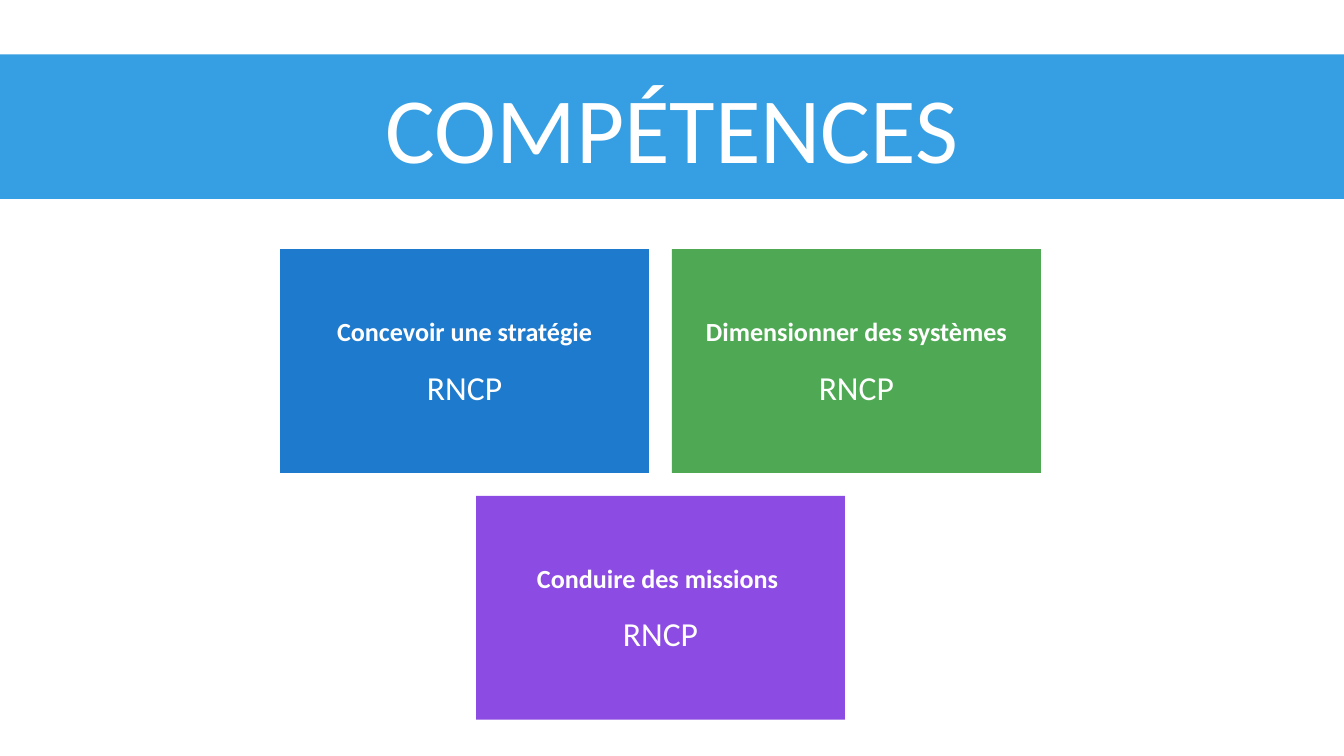
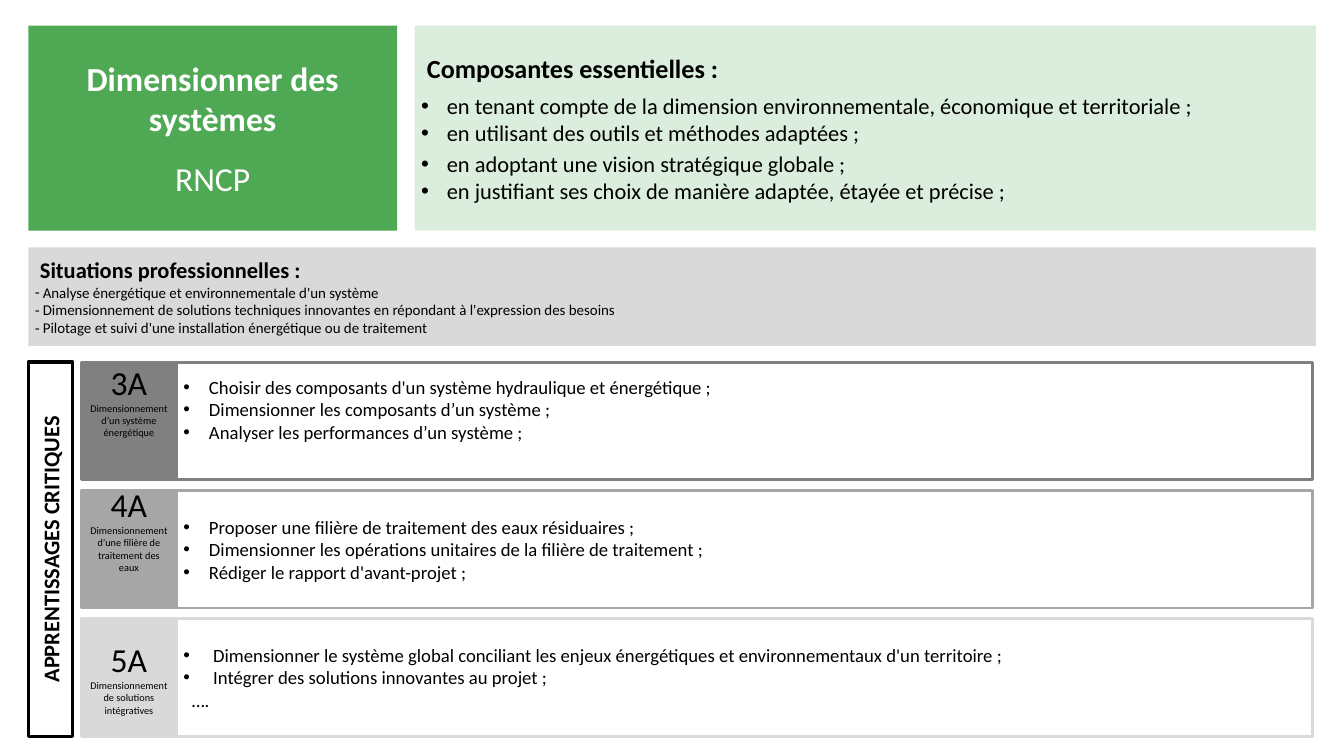
from dataclasses import dataclass

from lxml.etree import SubElement as Sub
from pptx import Presentation
from pptx.dml.color import RGBColor as Rgb
from pptx.enum.shapes import MSO_SHAPE as Kind
from pptx.enum.text import MSO_ANCHOR as Anchor, PP_ALIGN as Align
from pptx.oxml.ns import qn
from pptx.util import Cm, Pt

FONT = "Calibri"
HUES = {
    "band": "369FE3", "blue": "1D7ACC", "green": "4FA954", "purple": "8C4BE2",
    "dark": "808080", "mid": "A6A6A6", "light": "D9D9D9",
    "white": "FFFFFF", "black": "000000",
}
WIDE, HIGH = 50.8, 28.58
CARD = 13.94  # card width on both slides


@dataclass
class Para:
    text: str
    size: float
    bold: bool = False
    hue: str = "black"
    mark: str = ""       # bullet character
    margin: float = 0    # left margin in cm
    before: float = 0    # points
    after: float = 0     # points
    lines: float = 1
    center: bool = False


@dataclass
class Box:
    left: float
    top: float
    width: float
    height: float
    fill: str
    paras: list[Para]
    edge: str = ""
    weight: float = 3
    alpha: int = 100     # percent
    foot: float = 0.13   # bottom inset in cm
    turn: float = 0


@dataclass
class Level:
    name: str
    topic: str
    hue: str
    goals: list[Para]
    foot: float = 0.13   # bottom inset of the tab
    lift: float = 0.13   # bottom inset of the goals


def write(para, spec_: Para) -> None:
    para.alignment = Align.CENTER if spec_.center else Align.LEFT
    para.line_spacing = spec_.lines
    para.space_before = Pt(spec_.before)
    para.space_after = Pt(spec_.after)
    props = para._p.get_or_add_pPr()
    props.set("marL", str(int(Cm(spec_.margin))))
    if spec_.mark:
        props.set("indent", str(-int(Cm(spec_.margin))))
        Sub(props, qn("a:buFont")).set("typeface", "Arial")
        Sub(props, qn("a:buChar")).set("char", spec_.mark)
    run = para.add_run()
    run.text = spec_.text
    font = run.font
    font.name, font.size, font.bold = FONT, Pt(spec_.size), spec_.bold
    font.color.rgb = Rgb.from_string(HUES[spec_.hue])


def draw(slide, box: Box) -> None:
    shape = slide.shapes.add_shape(
        Kind.RECTANGLE, Cm(box.left), Cm(box.top), Cm(box.width), Cm(box.height))
    shape.shadow.inherit = False
    shape.rotation = box.turn
    shape.fill.solid()
    shape.fill.fore_color.rgb = Rgb.from_string(HUES[box.fill])
    if box.alpha < 100:
        color = shape._element.spPr.find(qn("a:solidFill"))[0]
        Sub(color, qn("a:alpha")).set("val", str(box.alpha * 1000))
    if box.edge:
        shape.line.color.rgb = Rgb.from_string(HUES[box.edge])
        shape.line.width = Pt(box.weight)
    else:
        shape.line.fill.background()
    frame = shape.text_frame
    frame.word_wrap = True
    frame.vertical_anchor = Anchor.MIDDLE
    frame.margin_bottom = Cm(box.foot)
    for i, item in enumerate(box.paras):
        write(frame.add_paragraph() if i else frame.paragraphs[0], item)


def card(left: float, top: float, height: float, hue: str,
         title: str, size: float) -> Box:
    return Box(left, top, CARD, height, hue, [
        Para(title, size, True, "white", center=True),
        Para("RNCP", 36, hue="white", lines=1.5, center=True)])


def dots(size: float, texts: list[str], margin: float = 0.97) -> list[Para]:
    return [Para(text, size, mark="•", margin=margin) for text in texts]


def skills(slide) -> None:
    left, top, high, gap = 10.59, 9.42, 8.46, 0.87
    step = CARD + gap
    draw(slide, Box(0, 2.06, WIDE, 5.46, "band",
                    [Para("COMPÉTENCES", 100, hue="white", center=True)]))
    for col, row, hue, title in [
        (0, 0, "blue", "Concevoir une stratégie"),
        (1, 0, "green", "Dimensionner des systèmes"),
        (0.5, 1, "purple", "Conduire des missions "),
    ]:
        draw(slide, card(left + col * step, top + row * (high + gap),
                         high, hue, title, 28))


LEVELS = [
    Level("3A", "Dimensionnement d’un système énergétique", "dark", dots(20, [
        "Choisir des composants d'un système hydraulique et énergétique ;",
        "Dimensionner les composants d’un système ;",
        "Analyser les performances d’un système ;"]), foot=1.68, lift=0.99),
    Level("4A", "Dimensionnement d’une filière de traitement des eaux", "mid",
          dots(20, [
              "Proposer une filière de traitement des eaux résiduaires ;",
              "Dimensionner les opérations unitaires de la filière de traitement ;",
              "Rédiger le rapport d'avant-projet ;"]), foot=1.68),
    Level("5A", "Dimensionnement de solutions intégratives", "light", dots(20, [
        "Dimensionner le système global conciliant les enjeux énergétiques "
        "et environnementaux d'un territoire ;",
        "Intégrer des solutions innovantes au projet ;"], 1.13)
        + [Para("….", 20, margin=0.32)]),
]


def detail(slide) -> None:
    left, right, top, high = 1.07, 49.74, 0.97, 7.75
    draw(slide, card(left, top, high, "green", "Dimensionner des systèmes", 36))

    parts = dots(24, [
        "en tenant compte de la dimension environnementale, économique "
        "et territoriale ;",
        "en utilisant des outils et méthodes adaptées ;",
        "en adoptant une vision stratégique globale ;",
        "en justifiant ses choix de manière adaptée, étayée et précise ;"])
    parts[2].before = 4.5
    start = left + CARD + 0.66
    draw(slide, Box(start, top, right - start, high, "green", [
        Para("Composantes essentielles :", 28, True, margin=0.22, after=10),
        *parts], alpha=20))

    jobs = [
        "Analyse énergétique et environnementale d'un système",
        "Dimensionnement de solutions techniques innovantes en répondant "
        "à l'expression des besoins",
        "Pilotage et suivi d'une installation énergétique ou de traitement"]
    draw(slide, Box(left, 9.35, right - left, 3.73, "light", [
        Para("Situations professionnelles :", 24, True, margin=0.19),
        *(Para(job, 16, mark="-", margin=0.3) for job in jobs)]))

    first, tall, step = 13.69, 4.45, 4.85
    tab, tab_w, body_w = 3.07, 3.61, 42.92
    for i, level in enumerate(LEVELS):
        y = first + i * step
        draw(slide, Box(tab + tab_w, y, body_w, tall, "white", level.goals,
                        level.hue, foot=level.lift))
        draw(slide, Box(tab, y, tab_w, tall, level.hue, [
            Para(level.name, 36, center=True),
            Para(level.topic, 11, center=True)], level.hue, foot=level.foot))

    # The strip lies flat before its quarter turn about the centre.
    span, thick = step * (len(LEVELS) - 1) + tall, 1.68
    draw(slide, Box(left + (thick - span) / 2, first + (span - thick) / 2,
                    span, thick, "white",
                    [Para("APPRENTISSAGES CRITIQUES", 24, True, center=True)],
                    "black", 3.75, turn=270))


def main() -> None:
    deck = Presentation()
    deck.slide_width, deck.slide_height = Cm(WIDE), Cm(HIGH)
    for build in (skills, detail):
        build(deck.slides.add_slide(deck.slide_layouts[6]))
    deck.save("out.pptx")


if __name__ == "__main__":
    main()
